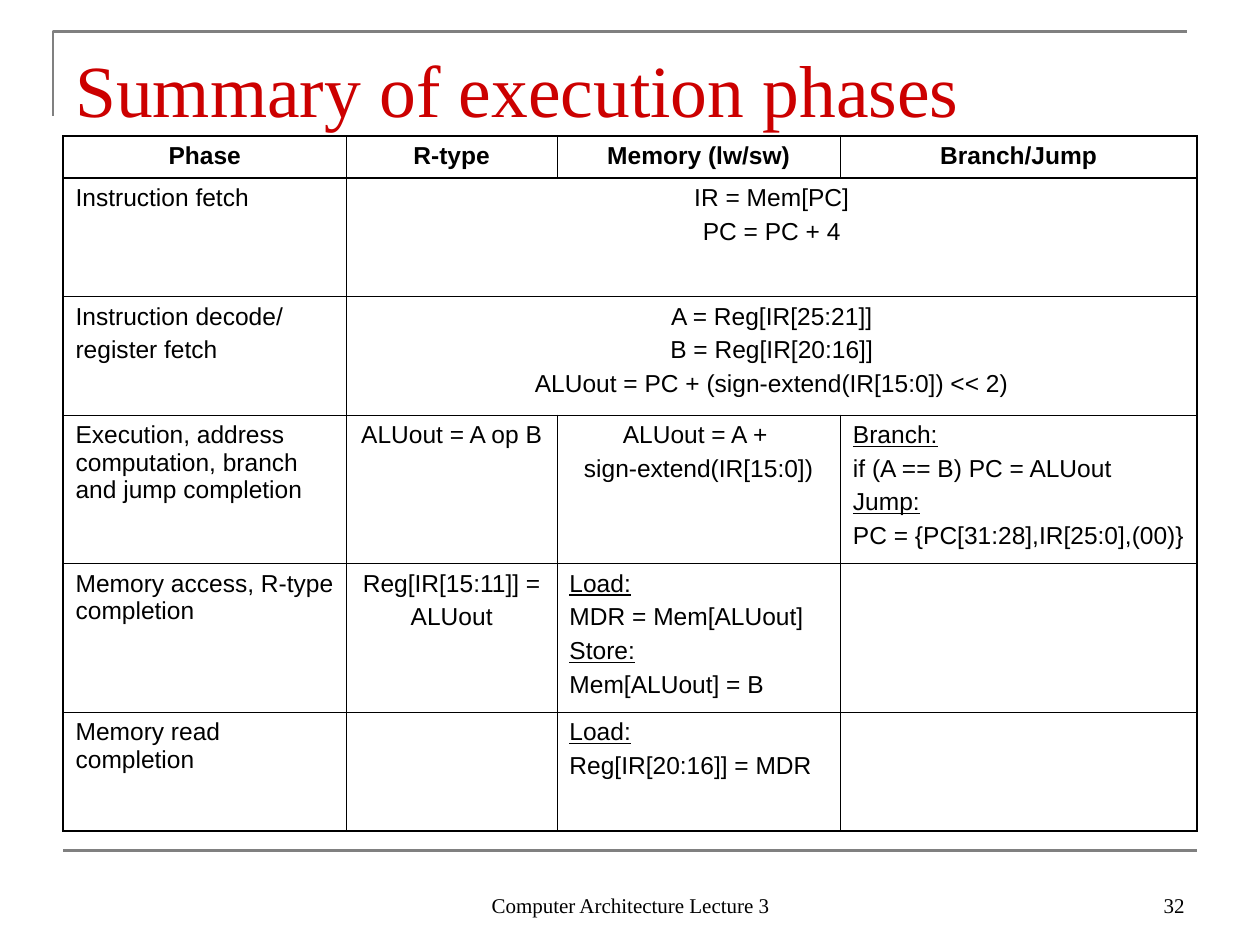
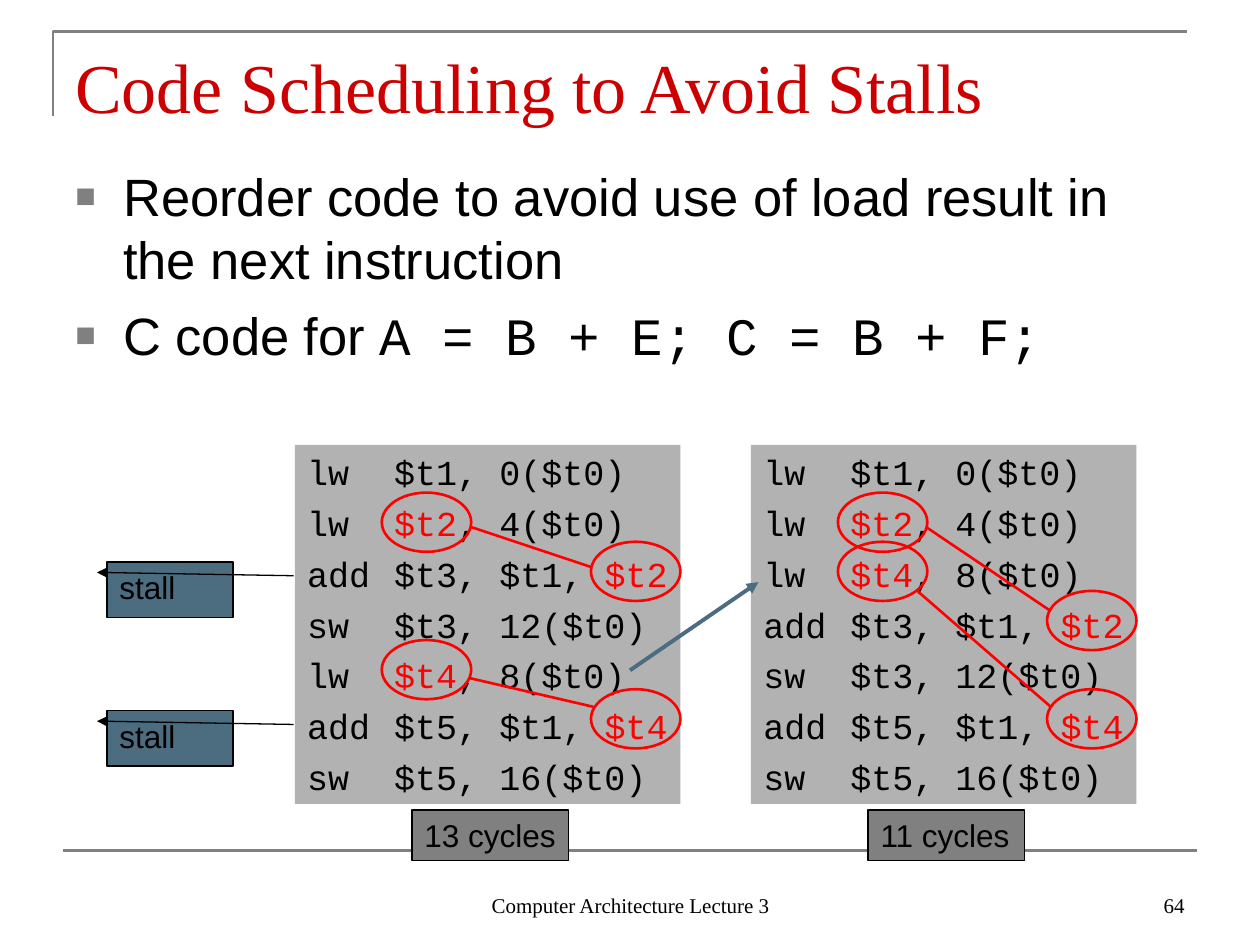
from dataclasses import dataclass

from lxml import etree
from pptx import Presentation
from pptx import util as u
from pptx.dml.color import RGBColor
from pptx.enum import shapes, text
from pptx.oxml import parse_xml
from pptx.oxml.ns import nsdecls, qn


@dataclass(frozen=True)
class Theme:
    ink: str = "000000"
    title: str = "CC0000"
    rule: str = "808080"
    code_fill: str = "B2B2B2"
    accent: str = "4C6D80"
    hot: str = "FF0000"
    serif: str = "Times New Roman"
    sans: str = "Arial"
    mono: str = "Courier New"
    body_size: int = 30
    code_size: int = 20
    label_size: int = 18
    table_size: int = 14
    footer_size: int = 12
    thin: float = 0.45
    thick: float = 1.08


theme = Theme()
In = u.Inches
Align = text.PP_ALIGN
Shape = shapes.MSO_SHAPE


def write(frame, lines, font, size, color=theme.ink, align=Align.LEFT,
          before=0, wrap=True, extras=()):
    frame.word_wrap = wrap
    frame.margin_left = frame.margin_right = In(0.1)
    frame.margin_top = frame.margin_bottom = In(0.05)
    for index, pieces in enumerate(lines):
        paragraph = frame.add_paragraph() if index else frame.paragraphs[0]
        for piece in pieces:
            paragraph.add_run().text = piece
        paragraph.alignment = align
        if index and before:
            paragraph.space_before = u.Pt(before)
        for extra in extras:
            paragraph._p.get_or_add_pPr().append(parse_xml(extra))
        paragraph.font.name = font
        paragraph.font.size = u.Pt(size)
        paragraph.font.color.rgb = RGBColor.from_string(color)
    return frame.paragraphs


def outline(shape, color, width, arrow=None):
    shape.line.color.rgb = RGBColor.from_string(color)
    shape.line.width = u.Pt(width)
    if arrow:
        etree.SubElement(shape.line._get_or_add_ln(), qn(f"a:{arrow}"), type="triangle")
    if hasattr(shape, "shadow"):
        shape.shadow.inherit = False
    else:
        etree.SubElement(shape._element.spPr, qn("a:effectLst"))


deck = Presentation()
deck.slide_width, deck.slide_height = In(10), In(7.5)

for heading, heading_size, number in (
    ("Summary of execution phases", 42, "32"),
    ("Code Scheduling to Avoid Stalls", 40, "64"),
):
    slide = deck.slides.add_slide(deck.slide_layouts[6])
    corner = slide.shapes.build_freeform(In(0.42), In(0.92))
    corner.add_line_segments([(In(0.42), In(0.25)), (In(9.42), In(0.25))], close=False)
    bracket = corner.convert_to_shape()
    bracket.fill.background()
    outline(bracket, theme.rule, 1.5)
    base_rule = slide.shapes.add_connector(
        shapes.MSO_CONNECTOR.STRAIGHT, In(0.5), In(6.75), In(9.5), In(6.75))
    outline(base_rule, theme.rule, 1.5)
    title = slide.shapes.add_textbox(In(0.5), In(0.3), In(9), In(0.78))
    write(title.text_frame, [[heading]], theme.serif, heading_size, theme.title)
    for left, width, words, align in (
        (3.42, 3.17, "Computer Architecture Lecture 3", Align.CENTER),
        (7.17, 2.33, number, Align.RIGHT),
    ):
        footer = slide.shapes.add_textbox(In(left), In(6.83), In(width), In(0.5))
        write(footer.text_frame, [[words]], theme.serif, theme.footer_size, align=align)
        footer.text_frame.vertical_anchor = text.MSO_ANCHOR.BOTTOM

phases_slide, scheduling_slide = deck.slides

phase_rows = [
    ["Phase", "R-type", "Memory (lw/sw)", "Branch/Jump"],
    ["Instruction fetch", "IR = Mem[PC]\nPC = PC + 4"],
    ["Instruction decode/\nregister fetch",
     "A = Reg[IR[25:21]]\nB = Reg[IR[20:16]]\nALUout = PC + (sign-extend(IR[15:0]) << 2)"],
    ["Execution, address computation, branch and jump completion",
     "ALUout = A op B",
     "ALUout = A + \nsign-extend(IR[15:0])",
     "Branch:\nif (A == B) PC = ALUout\nJump:\nPC = {PC[31:28],IR[25:0],(00)}"],
    ["Memory access, R-type completion",
     "Reg[IR[15:11]] =\nALUout",
     "Load:\nMDR = Mem[ALUout]\nStore:\nMem[ALUout] = B", ""],
    ["Memory read completion", "", "Load:\nReg[IR[20:16]] = MDR", ""],
]
column_widths = [2.25, 1.67, 2.25, 2.83]
row_heights = [0.33, 0.94, 0.94, 1.18, 1.18, 0.94]
last_row, last_column = len(row_heights) - 1, len(column_widths) - 1

phases = phases_slide.shapes.add_table(
    len(row_heights), len(column_widths), In(0.5), In(1.08), In(9), In(sum(row_heights))).table
phases.first_row = phases.horz_banding = False
for column, width in zip(phases.columns, column_widths):
    column.width = In(width)
for row, height in zip(phases.rows, row_heights):
    row.height = In(height)

for r, entries in enumerate(phase_rows):
    spans = len(entries) == 2
    if spans:
        phases.cell(r, 1).merge(phases.cell(r, last_column))
    for c, entry in enumerate(entries):
        if not entry:
            continue
        lines = entry.split("\n")
        labelled = any(line.endswith(":") for line in lines)
        flush_left = r > 0 and (c == 0 or labelled)
        paragraphs = write(phases.cell(r, c).text_frame, [[line] for line in lines],
                           theme.sans, theme.table_size, before=3.5,
                           align=Align.LEFT if flush_left else Align.CENTER)
        for paragraph, line in zip(paragraphs, lines):
            paragraph.font.bold = r == 0
            paragraph.font.underline = line.endswith(":")
    for c in range(last_column + 1):
        cell = phases.cell(r, c)
        cell.fill.background()
        heavy_sides = {"L": c == 0, "R": c == last_column or (spans and c > 0),
                       "T": r <= 1, "B": r in (0, last_row)}
        for position, (side, heavy) in enumerate(heavy_sides.items()):
            weight = u.Pt(theme.thick if heavy else theme.thin)
            cell._tc.get_or_add_tcPr().insert(position, parse_xml(
                f'<a:ln{side} {nsdecls("a")} w="{weight}"><a:solidFill>'
                f'<a:srgbClr val="{theme.ink}"/></a:solidFill></a:ln{side}>'))

canvas = scheduling_slide.shapes
goals = canvas.add_textbox(In(0.5), In(1.25), In(9), In(5.45))
goal_lines = write(
    goals.text_frame,
    [["Reorder code to avoid use of load result in the next instruction"],
     ["C code for ", "A = B + E; C = B + F;"]],
    theme.sans, theme.body_size, before=7.5,
    extras=[f'<a:buClr {nsdecls("a")}><a:srgbClr val="{theme.rule}"/></a:buClr>',
            f'<a:buSzPct {nsdecls("a")} val="65000"/>',
            f'<a:buFont {nsdecls("a")} typeface="{theme.sans}"/>',
            f'<a:buChar {nsdecls("a")} char="■"/>'])
for goal in goal_lines:
    goal._p.pPr.set("marL", str(In(0.38)))
    goal._p.pPr.set("indent", str(In(-0.38)))
goal_lines[1].runs[1].font.name = theme.mono

load_t1 = ("lw\t$t1, 0($t0)",)
load_t2 = ("lw\t", "$t2", ", 4($t0)")
load_t4 = ("lw\t", "$t4", ", 8($t0)")
add_t3 = ("add\t$t3, $t1, ", "$t2")
add_t5 = ("add\t$t5, $t1, ", "$t4")
store_t3 = ("sw\t$t3, 12($t0)",)
store_t5 = ("sw\t$t5, 16($t0)",)
listings = [
    (2.34, "13 cycles", [load_t1, load_t2, add_t3, store_t3, load_t4, add_t5, store_t5]),
    (5.96, "11 cycles", [load_t1, load_t2, load_t4, add_t3, store_t3, add_t5, store_t5]),
]
code_tab = f'<a:tabLst {nsdecls("a")}><a:tab pos="{In(0.69)}" algn="l"/></a:tabLst>'

for left, cycles, code in listings:
    listing = canvas.add_shape(Shape.RECTANGLE, In(left), In(3.53), In(3.06), In(2.85))
    listing.shadow.inherit = False
    listing.fill.solid()
    listing.fill.fore_color.rgb = RGBColor.from_string(theme.code_fill)
    listing.line.fill.background()
    listing.text_frame.vertical_anchor = text.MSO_ANCHOR.TOP
    instructions = write(listing.text_frame, code, theme.mono, theme.code_size,
                         before=5, wrap=False, extras=[code_tab])
    for row, (pieces, instruction) in enumerate(zip(code, instructions)):
        if len(pieces) > 1:
            instruction.runs[1].font.color.rgb = RGBColor.from_string(theme.hot)
            offset = 0.69 if len(pieces) == 3 else 2.35
            ring = canvas.add_shape(Shape.OVAL, In(left + offset), In(3.52 + 0.39 * row),
                                    In(0.71), In(0.47))
            ring.fill.background()
            outline(ring, theme.hot, 1.5)

labels = [(Shape.LINE_CALLOUT_1, 0.85, top, 1, 0.44, theme.accent, "stall")
          for top in (4.46, 5.64)]
labels += [(Shape.RECTANGLE, left + 0.93, 6.43, 1.24, 0.4, theme.rule, cycles)
           for left, cycles, code in listings]
for kind, left, top, width, height, fill, words in labels:
    label = canvas.add_shape(kind, In(left), In(top), In(width), In(height))
    label.fill.solid()
    label.fill.fore_color.rgb = RGBColor.from_string(fill)
    is_callout = kind == Shape.LINE_CALLOUT_1
    outline(label, theme.ink, 0.75, "headEnd" if is_callout else None)
    if is_callout:
        for index, value in enumerate((0.19, -0.08, 0.25, 1.48)):
            label.adjustments[index] = value
    label.text_frame.vertical_anchor = text.MSO_ANCHOR.TOP
    write(label.text_frame, [[words]], theme.sans, theme.label_size, wrap=is_callout)

dependencies = [
    (3.73, 4.18, 4.69, 4.5),
    (3.72, 5.38, 4.71, 5.61),
    (7.36, 4.19, 8.34, 4.85),
    (7.28, 4.69, 8.34, 5.61),
]
links = [(ends, theme.hot, 1.5, None) for ends in dependencies]
links.append(((5, 5.32, 6.02, 4.62), theme.accent, 2.25, "tailEnd"))
for ends, color, width, arrow in links:
    link = canvas.add_connector(shapes.MSO_CONNECTOR.STRAIGHT, *map(In, ends))
    outline(link, color, width, arrow)

deck.save("out.pptx")
